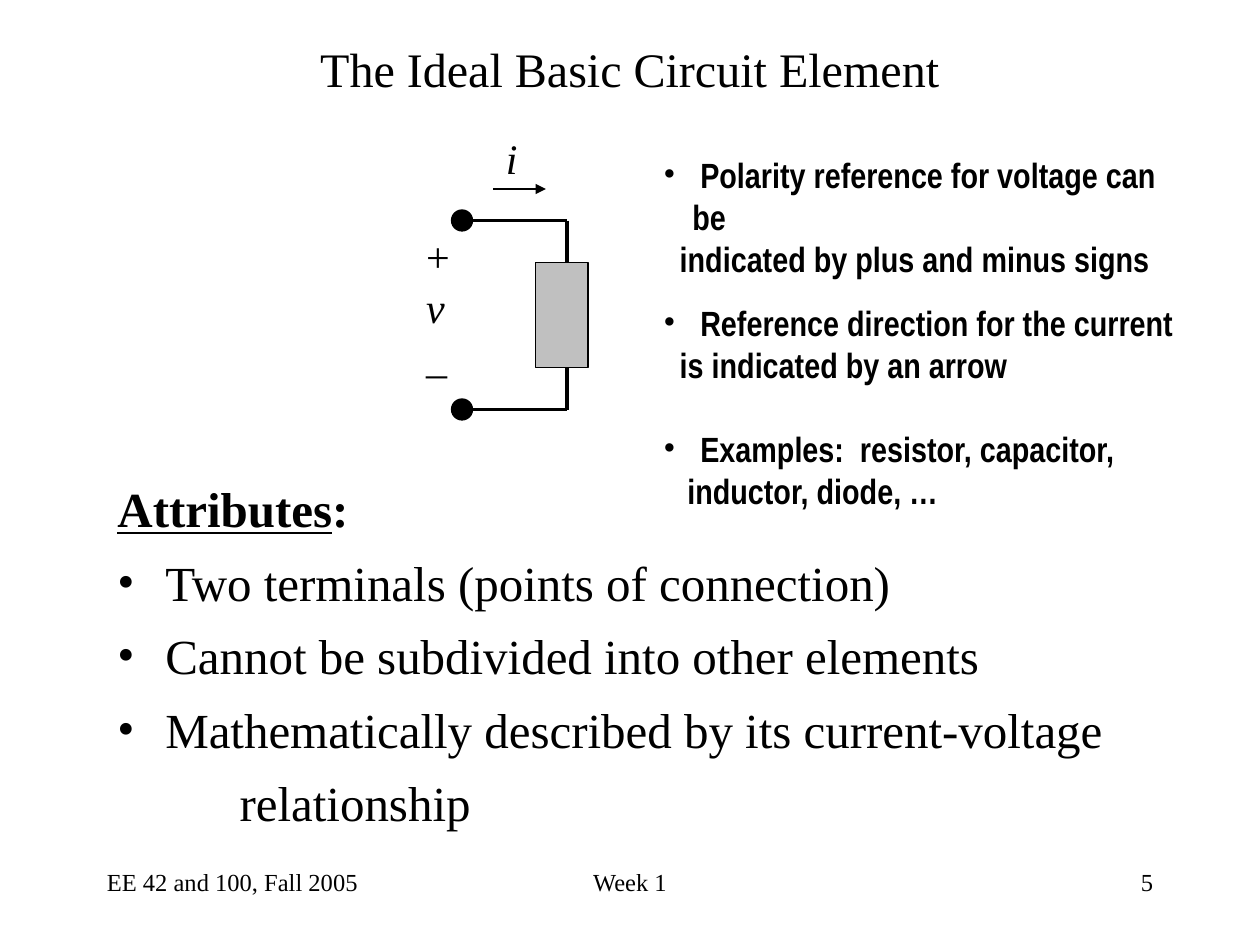
"""Build the slide on the ideal basic circuit element."""
from lxml.etree import SubElement
from pptx import Presentation
from pptx.dml.color import RGBColor
from pptx.enum.shapes import MSO_CONNECTOR, MSO_SHAPE
from pptx.enum.text import MSO_ANCHOR, MSO_AUTO_SIZE, PP_ALIGN
from pptx.oxml.ns import qn
from pptx.util import Inches, Pt

COLORS = {"ink": RGBColor.from_string("000000"), "element": RGBColor.from_string("C0C0C0")}
SERIF, NARROW = "Times New Roman", "Arial Narrow"
LEFT, CENTER, RIGHT = PP_ALIGN.LEFT, PP_ALIGN.CENTER, PP_ALIGN.RIGHT

deck = Presentation()
deck.slide_width, deck.slide_height = Inches(10), Inches(7.5)
page = deck.slides.add_slide(deck.slide_layouts[6])
UNIT = deck.slide_width / 120


def grid(*cells):
    return [round(cell * UNIT) for cell in cells]


def add_text(place, paragraphs, size, font=SERIF, align=LEFT, **frame_format):
    box = page.shapes.add_textbox(*grid(*place))
    for name, value in ({"word_wrap": True} | frame_format).items():
        setattr(box.text_frame, name, value)
    for index, (spans, layout) in enumerate(paragraphs):
        para = box.text_frame.paragraphs[0] if index == 0 else box.text_frame.add_paragraph()
        para.alignment = align
        para.space_before = Pt(layout.get("before", 0))
        properties = para._p.get_or_add_pPr()
        margin = Inches(layout.get("margin", 0))
        bullet = layout.get("bullet", False)
        properties.set("marL", str(margin))
        properties.set("indent", str(-margin if bullet else 0))
        if bullet:
            SubElement(properties, qn("a:buFont"), typeface=SERIF)
            SubElement(properties, qn("a:buChar"), char="•")
        for text, style in spans:
            span = para.add_run()
            span.text = text
            span.font.color.rgb = COLORS["ink"]
            for name, value in ({"size": Pt(size), "name": font} | style).items():
                setattr(span.font, name, value)


footers = [
    ((9, 82, 28, 6), "EE 42 and 100, Fall 2005", LEFT),
    ((41, 82, 38, 6), "Week 1", CENTER),
    ((86, 82, 25, 6), "5", RIGHT),
]
for place, text, align in footers:
    add_text(place, [([(text, {})], {})], 14, align=align)

title = [([("The Ideal Basic Circuit Element", {})], {})]
add_text((6, 3, 108, 7), title, 27.5, align=CENTER, vertical_anchor=MSO_ANCHOR.MIDDLE)

heading = [("Attributes", {"bold": True, "underline": True}), (":", {"bold": True})]
attributes = [
    "Two terminals (points of connection)",
    "Cannot be subdivided into other elements",
    "Mathematically described by its current-voltage",
]
gap = {"before": 8.4}
body = [(heading, gap)]
body += [([(text, {})], gap | {"margin": 0.38, "bullet": True}) for text in attributes]
body += [([("relationship", {})], gap | {"margin": 0.97})]
add_text((10, 45, 99, 35.4), body, 28)

shapes = [
    (MSO_SHAPE.RECTANGLE, (51, 25, 5, 10), "element"),
    (MSO_SHAPE.OVAL, (43, 20, 2, 2), "ink"),
    (MSO_SHAPE.OVAL, (43, 38, 2, 2), "ink"),
]
for kind, place, color in shapes:
    shape = page.shapes.add_shape(kind, *grid(*place))
    shape.shadow.inherit = False
    shape.fill.solid()
    shape.fill.fore_color.rgb = COLORS[color]
    shape.line.color.rgb = COLORS["ink"]
    shape.line.width = Pt(0.75)

lines = [
    ((44, 21, 54, 21), 2.25, False),
    ((54, 21, 54, 25), 2.25, False),
    ((54, 35, 54, 39), 2.25, False),
    ((44, 39, 54, 39), 2.25, False),
    ((47, 18, 52, 18), 1.5, True),
]
for ends, width, arrow in lines:
    line = page.shapes.add_connector(MSO_CONNECTOR.STRAIGHT, *grid(*ends))
    line.line.color.rgb = COLORS["ink"]
    line.line.width = Pt(width)
    if arrow:
        SubElement(line.line._get_or_add_ln(), qn("a:tailEnd"), type="triangle")
    SubElement(line._element.spPr, qn("a:effectLst"))

fit = {"auto_size": MSO_AUTO_SIZE.SHAPE_TO_FIT_TEXT}
voltage = [([(sign, {"italic": sign == "v"})], {}) for sign in "+v_"]
add_text((39.4, 21.4, 4.7, 15.6), voltage, 24, word_wrap=False, **fit)
add_text((47, 12, 3.5, 6), [([("i", {"italic": True})], {})], 24, word_wrap=False, **fit)

remarks = [
    (0, " Polarity reference for voltage can be", 0.13, "indicated by plus and minus signs"),
    (12.5, " Reference direction for the current", 0.13, "is indicated by an arrow"),
    (24, " Examples:  resistor, capacitor,", 0.19, "inductor, diode, …"),
]
notes = []
for before, lead, margin, rest in remarks:
    notes.append(([(lead, {"bold": True})], {"before": before, "margin": 0.23, "bullet": True}))
    notes.append(([(rest, {"bold": True})], {"margin": margin}))
add_text((62, 14, 51.4, 35.3), notes, 20, NARROW, **fit)

deck.save("out.pptx")
